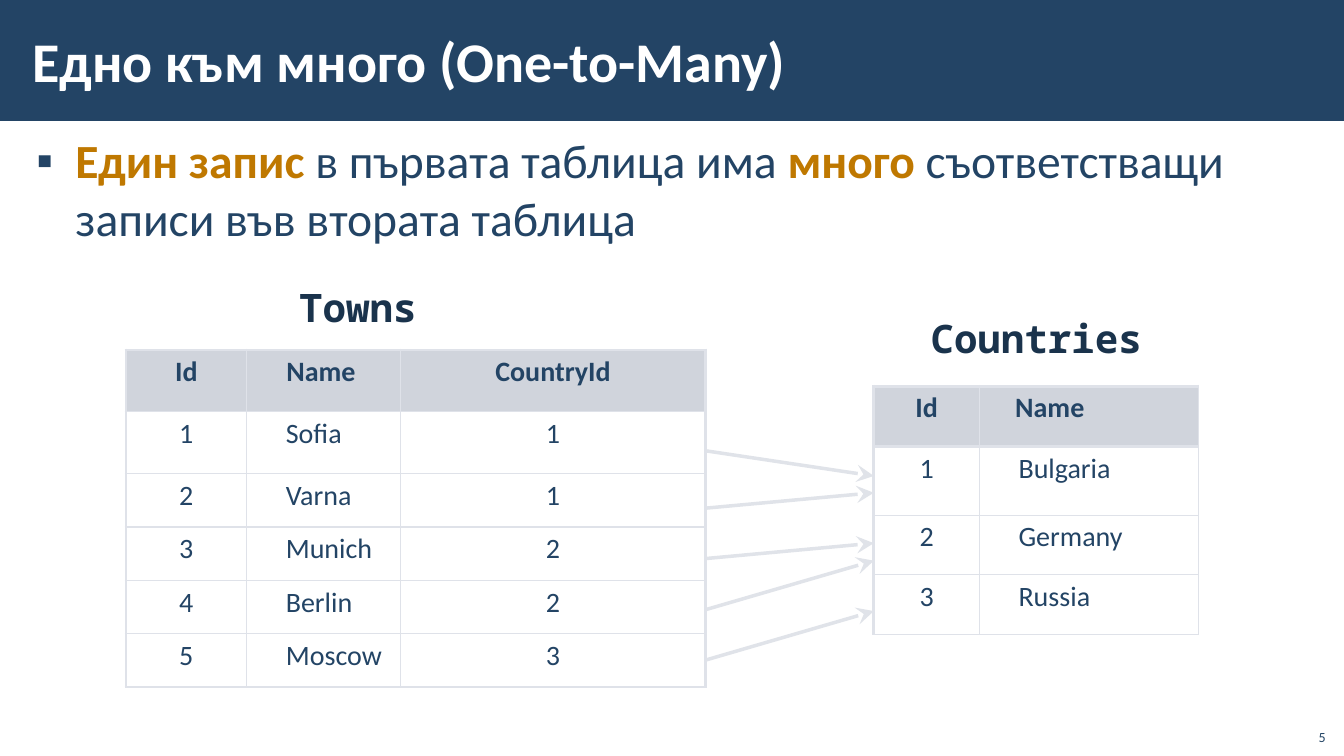
from lxml import etree
from pptx import Presentation
from pptx.dml.color import RGBColor
from pptx.enum import shapes, text
from pptx.oxml import ns
from pptx.util import Pt

COLORS = {
    "band": "234465", "white": "FFFFFF", "body": "234465", "accent": "BF7800",
    "label": "1A334C", "header": "D0D4DC", "border": "DFE2E9", "arrow": "E0E3E9",
}
SANS, MONO = "Calibri", "Noto Sans Mono"
THIN, THICK = 0.96, 2.21
SLIDE_NUMBER = 5
TOWNS = [
    ("Id", "Name", "CountryId"), ("1", "Sofia", "1"), ("2", "Varna", "1"),
    ("3", "Munich", "2"), ("4", "Berlin", "2"), ("5", "Moscow", "3"),
]
COUNTRIES = [("Id", "Name"), ("1", "Bulgaria"), ("2", "Germany"), ("3", "Russia")]
LINKS = [(322, 340), (363, 352), (399, 388), (435.5, 400.5), (471.5, 436.5)]


def rgb(color):
    return RGBColor.from_string(COLORS[color])


def add_xml(parent, tag, **attributes):
    return etree.SubElement(parent, ns.qn(tag), attributes)


def style(font, size, color, bold=False, face=SANS):
    font.name, font.size, font.bold = face, Pt(size), bold
    font.color.rgb = rgb(color)


def set_margins(frame, side, top):
    frame.margin_left = frame.margin_right = Pt(side)
    frame.margin_top = frame.margin_bottom = Pt(top)


def add_text_box(slide, box):
    frame = slide.shapes.add_textbox(*map(Pt, box)).text_frame
    frame.word_wrap = True
    return frame


def add_title(slide, box, wording):
    left, top, width, height = box
    title = slide.shapes.title
    band = slide.shapes.add_shape(shapes.MSO_SHAPE.RECTANGLE, *map(Pt, box))
    band.shadow.inherit = False
    band.fill.solid()
    band.fill.fore_color.rgb = rgb("band")
    band.line.fill.background()
    title.element.addprevious(band.element)

    title.left, title.top = Pt(left + 15), Pt(top + 8)
    title.width, title.height = Pt(width - 151), Pt(height - 17)
    frame = title.text_frame
    frame.text = wording
    frame.vertical_anchor = text.MSO_ANCHOR.MIDDLE
    frame.auto_size = text.MSO_AUTO_SIZE.NONE
    set_margins(frame, 8.5, 2.8)
    paragraph = frame.paragraphs[0]
    paragraph.alignment = text.PP_ALIGN.LEFT
    style(paragraph.runs[0].font, 40, "white", bold=True)


def add_statement(slide, box, parts):
    frame = add_text_box(slide, box)
    set_margins(frame, 8.5, 2.8)
    paragraph = frame.paragraphs[0]
    properties = paragraph._p.get_or_add_pPr()
    properties.set("marL", str(Pt(63.4)))
    properties.set("indent", str(Pt(-28)))
    bullet_color = add_xml(properties, "a:buClr")
    add_xml(bullet_color, "a:srgbClr", val=COLORS["body"])
    add_xml(properties, "a:buFont", typeface="Arial")
    add_xml(properties, "a:buChar", char="▪")
    paragraph.space_after = Pt(6)
    for wording, strong in parts:
        run = paragraph.add_run()
        run.text = wording
        style(run.font, 34, "accent" if strong else "body", bold=strong)


def add_caption(slide, box, wording):
    frame = add_text_box(slide, box)
    frame.text = wording
    frame.word_wrap = False
    frame.auto_size = text.MSO_AUTO_SIZE.SHAPE_TO_FIT_TEXT
    set_margins(frame, 2, 3.6)
    paragraph = frame.paragraphs[0]
    paragraph.alignment = text.PP_ALIGN.CENTER
    paragraph.line_spacing = 0.9
    style(paragraph.runs[0].font, 28, "label", bold=True, face=MONO)


def add_borders(cell, thick_sides):
    properties = cell._tc.get_or_add_tcPr()
    for side in "LRTB":
        width = THICK if side in thick_sides else THIN
        border = add_xml(properties, f"a:ln{side}", w=str(Pt(width)))
        fill = add_xml(border, "a:solidFill")
        add_xml(fill, "a:srgbClr", val=COLORS["border"])


def add_relation(slide, left, top, records, widths, heights, header_margin, thick_sides):
    table = slide.shapes.add_table(
        len(heights), len(widths), Pt(left), Pt(top), Pt(sum(widths)), Pt(sum(heights))
    ).table
    table.first_row = table.horz_banding = False
    for column, width in zip(table.columns, widths):
        column.width = Pt(width)
    for row, height in zip(table.rows, heights):
        row.height = Pt(height)
    for r, record in enumerate(records):
        for c, wording in enumerate(record):
            cell = table.cell(r, c)
            cell.text = wording
            edges = {
                "L": c == 0,
                "R": c == len(widths) - 1,
                "T": r == 0 or (r == 1 and "B" in thick_sides),
                "B": r == 0,
            }
            add_borders(cell, [side for side in thick_sides if edges[side]])
            if r == 0:
                cell.fill.solid()
                cell.fill.fore_color.rgb = rgb("header")
            else:
                cell.fill.background()
            paragraph = cell.text_frame.paragraphs[0]
            if c == 1:
                cell.margin_left = Pt(header_margin if r == 0 else 28)
                paragraph.alignment = text.PP_ALIGN.LEFT
            else:
                paragraph.alignment = text.PP_ALIGN.CENTER
            style(paragraph.runs[0].font, 20, "body", bold=r == 0)


def add_links(slide, start, end):
    for town_y, country_y in LINKS:
        link = slide.shapes.add_connector(
            shapes.MSO_CONNECTOR.STRAIGHT, Pt(start), Pt(town_y), Pt(end), Pt(country_y)
        )
        link.line.color.rgb = rgb("arrow")
        link.line.width = Pt(2.5)
        add_xml(link.line._get_or_add_ln(), "a:tailEnd", type="stealth", w="lg", len="lg")
        add_xml(link.element.spPr, "a:effectLst")


def add_slide_number(slide, box):
    frame = add_text_box(slide, box)
    frame.vertical_anchor = text.MSO_ANCHOR.BOTTOM
    paragraph = frame.paragraphs[0]
    paragraph.alignment = text.PP_ALIGN.RIGHT
    field = add_xml(paragraph._p, "a:fld", type="slidenum",
                    id="{B6F15528-21DE-4FAA-801E-634DDDAF4B2B}")
    properties = add_xml(field, "a:rPr", lang="bg-BG", sz="1000")
    fill = add_xml(properties, "a:solidFill")
    add_xml(fill, "a:srgbClr", val=COLORS["body"])
    add_xml(properties, "a:latin", typeface=SANS)
    add_xml(field, "a:t").text = str(SLIDE_NUMBER)


def build_relationship_slide(deck):
    slide = deck.slides.add_slide(deck.slide_layouts[5])
    add_title(slide, (0, 0, 960, 86.4), "Едно към много (One-to-Many)")
    add_statement(slide, (-18, 91, 929.5, 438.5), [
        ("Един запис ", True), ("в първата таблица има ", False),
        ("много", True), (" съответстващи записи във втората таблица", False),
    ])
    add_caption(slide, (206.6, 202.3, 98, 37.4), "Towns")
    add_caption(slide, (657.4, 224.6, 165.6, 37.4), "Countries")
    add_links(slide, 504, 624.2)
    add_relation(slide, 90, 250, TOWNS, (86.2, 110, 217.8),
                 (44.2, 44.2, 38.1, 38.1, 38.1, 38.1), 28.4, "LTR")
    add_relation(slide, 624.2, 275.8, COUNTRIES, (75.4, 156.8),
                 (43.2, 49, 42.5, 42.5), 25.6, "LTB")
    add_slide_number(slide, (925.2, 512.6, 28.8, 23))


def main():
    deck = Presentation()
    deck.slide_width, deck.slide_height = Pt(960), Pt(540)
    deck.element.set("firstSlideNum", str(SLIDE_NUMBER))
    build_relationship_slide(deck)
    deck.save("out.pptx")


if __name__ == "__main__":
    main()
